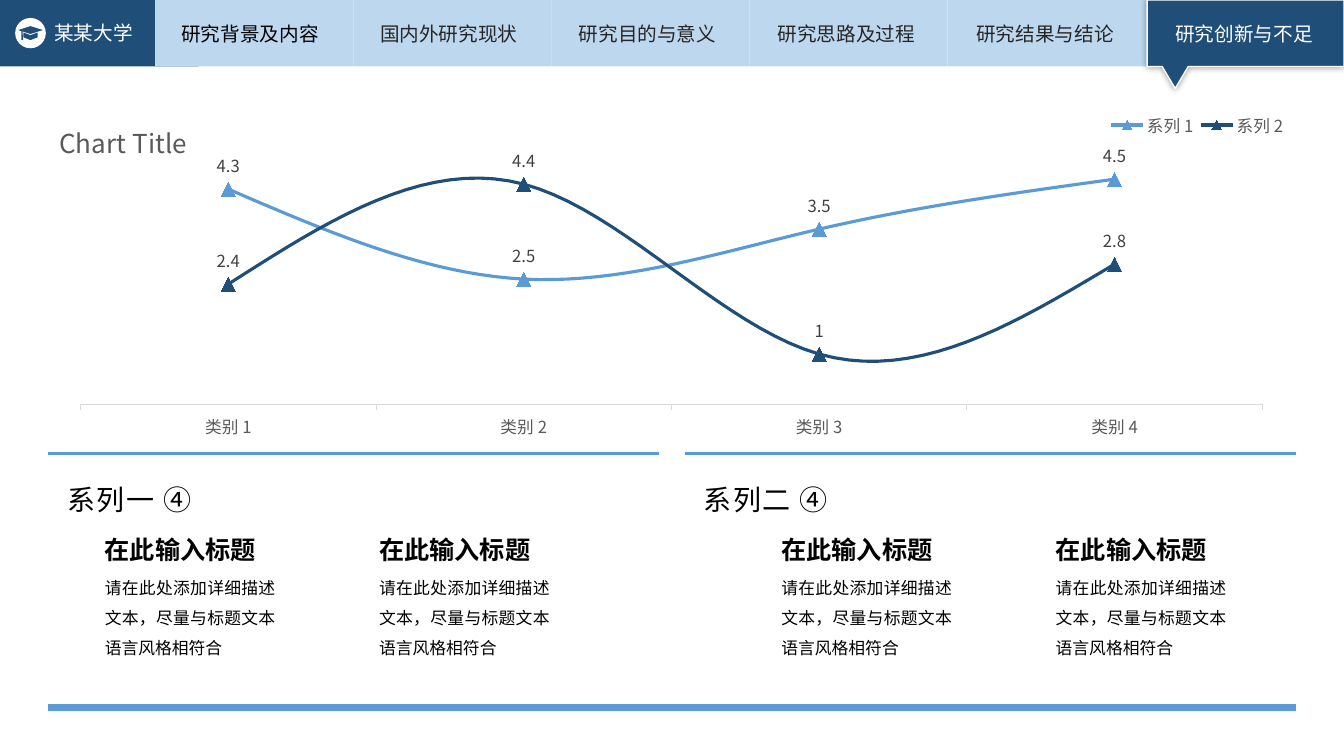
from dataclasses import dataclass

from lxml.etree import SubElement
from pptx import Presentation
from pptx.chart.data import CategoryChartData
from pptx.dml.color import RGBColor
from pptx.enum.chart import XL_CHART_TYPE as CT, XL_LABEL_POSITION as LP, XL_LEGEND_POSITION as LG
from pptx.enum.chart import XL_MARKER_STYLE as MS, XL_TICK_MARK as TM
from pptx.enum.shapes import MSO_CONNECTOR as MC, MSO_SHAPE as MS_SHAPE
from pptx.enum.text import MSO_ANCHOR as MA, MSO_AUTO_SIZE as AS, PP_ALIGN as PA
from pptx.oxml import parse_xml
from pptx.oxml.ns import nsdecls, qn
from pptx.util import Inches, Pt


@dataclass(frozen=True)
class Theme:
    face: str = "Noto Sans CJK SC"
    navy: str = "1F4E79"
    blue: str = "5B9BD5"
    pale: str = "BDD7EE"
    white: str = "FFFFFF"
    black: str = "000000"
    tab_text: str = "262626"
    label: str = "404040"
    muted: str = "595959"
    rule: str = "D9D9D9"
    nav: float = 14
    chart: float = 11.9
    chart_title: float = 18.6
    heading: float = 20
    item: float = 18
    body: float = 12


@dataclass(frozen=True)
class Box:
    x: float
    y: float
    w: float
    h: float

    def share(self, x, y, w, h):
        return Box(self.x + self.w * x / 100, self.y + self.h * y / 100,
                   self.w * w / 100, self.h * h / 100)

    def emu(self):
        return [Inches(v) for v in (self.x, self.y, self.w, self.h)]


T = Theme()
SLIDE = Box(0, 0, 13.33, 7.5)
TABS = ["研究背景及内容", "国内外研究现状", "研究目的与意义",
        "研究思路及过程", "研究结果与结论", "研究创新与不足"]
DESCRIPTION = "请在此处添加详细描述文本，尽量与标题文本语言风格相符合"


def rgb(color):
    return RGBColor.from_string(color)


def style(font, size, color, bold=False, spacing=0):
    font.name, font.size, font.bold = T.face, Pt(size), bold
    font.color.rgb = rgb(color)
    SubElement(font._rPr, qn("a:ea")).set("typeface", T.face)
    if spacing:
        font._rPr.set("spc", str(spacing * 100))


def write(sp, text, size, color, wrap=True, align=PA.LEFT, leading=None, **look):
    tf = sp.text_frame
    tf.word_wrap = wrap
    p = tf.paragraphs[0]
    p.text, p.alignment = text, align
    if leading:
        p.line_spacing = leading
    style(p.font, size, color, **look)
    return tf


def add_text(s, box, *args, **kw):
    sp = s.shapes.add_textbox(*box.emu())
    write(sp, *args, **kw).auto_size = AS.SHAPE_TO_FIT_TEXT


def paint(sp, color):
    sp.shadow.inherit = False
    sp.fill.solid()
    sp.fill.fore_color.rgb = rgb(color)
    sp.line.fill.background()
    return sp


def add_filled(s, kind, box, color):
    return paint(s.shapes.add_shape(kind, *box.emu()), color)


def add_polygon(s, box, points, color):
    x, y, w, h = box.emu()
    pts = [(x + w * px / 100, y + h * py / 100) for px, py in points]
    fb = s.shapes.build_freeform(*pts[0])
    fb.add_line_segments(pts[1:], close=True)
    return paint(fb.convert_to_shape(), color)


def add_rule(s, box, width):
    x, y, w, _ = box.emu()
    ln = s.shapes.add_connector(MC.STRAIGHT, x, y, x + w, y)
    ln.line.color.rgb, ln.line.width = rgb(T.blue), Pt(width)
    SubElement(ln._element.spPr, qn("a:effectLst"))


def add_callout(s, box):
    sp = add_polygon(s, box, [(0.6, 0), (100, 0), (100, 100), (21.4, 100),
                              (14.8, 133), (8.2, 100), (0.6, 100)], T.navy)
    sp.line.color.rgb, sp.line.width = rgb(T.white), Pt(1)
    sp._element.spPr.find(qn("a:effectLst")).append(parse_xml(
        f'<a:outerShdw {nsdecls("a")} blurRad="{Pt(5)}" dist="0" dir="0">'
        '<a:srgbClr val="000000"><a:alpha val="40000"/></a:srgbClr></a:outerShdw>'))


def add_badge(s, box):
    add_filled(s, MS_SHAPE.OVAL, box, T.white)
    for points in ([(10, 40), (50, 27), (90, 40), (50, 53)],
                   [(27, 48), (50, 57), (73, 48), (73, 64), (50, 73), (27, 64)],
                   [(20, 42), (24, 42), (26, 73), (20, 73)]):
        add_polygon(s, box, points, T.navy)


def add_navigation(s, box):
    first = 11.55
    step = (100 - first) / len(TABS)
    cells = [box.share(first + step * i, 0, step, 100) for i in range(len(TABS))]
    labels = [box.share(12.75 + 14.79 * i, 25.8, 11.85, 51.5) for i in range(len(TABS))]
    add_filled(s, MS_SHAPE.RECTANGLE, box.share(0, 0, step, 100), T.navy)
    for cell in cells:
        add_filled(s, MS_SHAPE.RECTANGLE, cell, T.pale)
    add_callout(s, cells[-1])
    for i, (label, text) in enumerate(zip(labels[:-1], TABS)):
        add_text(s, label, text, T.nav, T.tab_text if i else T.black, wrap=False)
    title = s.shapes.title
    title.left, title.top, title.width, title.height = labels[-1].emu()
    tf = write(title, TABS[-1], T.nav, T.white, wrap=False)
    tf.vertical_anchor, tf.auto_size = MA.TOP, AS.SHAPE_TO_FIT_TEXT
    s.shapes.element.append(title.element)
    add_badge(s, box.share(1.13, 27, 2.28, 45.5))
    add_text(s, box.share(3.3, 24.2, 7.43, 51.5), "某某大学", T.nav, T.white, wrap=False)


def set_layout(parent, index, box, inner=False, **lengths):
    for old in parent.findall(qn("c:layout")):
        parent.remove(old)
    target = '<c:layoutTarget val="inner"/>' if inner else ""
    modes = "".join(f'<c:{k}Mode val="edge"/>' for k in "xy")
    sizes = "".join(f'<c:{k} val="{v / (box.w if k in "xw" else box.h)}"/>'
                    for k, v in lengths.items())
    parent.insert(index, parse_xml(
        f'<c:layout {nsdecls("c")}><c:manualLayout>{target}{modes}{sizes}'
        '</c:manualLayout></c:layout>'))


def add_trend_chart(s, box):
    data = CategoryChartData()
    data.categories = [f"类别 {i}" for i in range(1, 5)]
    data.add_series("系列 1", (4.3, 2.5, 3.5, 4.5))
    data.add_series("系列 2", (2.4, 4.4, 1, 2.8))
    chart = s.shapes.add_chart(CT.LINE_MARKERS, *box.emu(), data).chart
    style(chart.font, T.chart, T.muted)
    chart.has_title = chart.has_legend = True
    r = chart.chart_title.text_frame.paragraphs[0].add_run()
    r.text = "Chart Title"
    style(r.font, T.chart_title, T.muted)
    chart.legend.position, chart.legend.include_in_layout = LG.BOTTOM, False
    style(chart.legend.font, T.chart, T.muted)
    axis, values = chart.category_axis, chart.value_axis
    axis.major_tick_mark = TM.OUTSIDE
    axis.format.line.color.rgb, axis.format.line.width = rgb(T.rule), Pt(0.75)
    style(axis.tick_labels.font, T.chart, T.muted)
    values.minimum_scale, values.maximum_scale = 0, 5
    values.has_major_gridlines = values.visible = False
    plot = chart.plots[0]
    plot.vary_by_categories, plot.has_data_labels = False, True
    plot.data_labels.show_value, plot.data_labels.position = True, LP.ABOVE
    style(plot.data_labels.font, T.chart, T.label)
    for series, color in zip(plot.series, (T.blue, T.navy)):
        series.smooth = True
        series.format.line.color.rgb, series.format.line.width = rgb(color), Pt(2.25)
        series.marker.style, series.marker.size = MS.TRIANGLE, 10
        series.marker.format.fill.solid()
        series.marker.format.fill.fore_color.rgb = rgb(color)
        series.marker.format.line.fill.background()
    area = chart._chartSpace.chart.plotArea
    for crossing in area.iter(qn("c:crossBetween")):
        crossing.set("val", "midCat")
    set_layout(area, 0, box, inner=True, x=0.32, y=0.49, w=11.72, h=2.48)
    set_layout(chart.chart_title._element, 1, box, x=0.06, y=0.1)
    set_layout(chart.legend._element, 1, box, x=10.47, y=0.03, w=1.85, h=0.34)


def add_panel(s, box, heading, indent):
    add_rule(s, box, 2.25)
    sp = add_filled(s, MS_SHAPE.ROUNDED_RECTANGLE, box.share(1.5, 6.35, 70.8, 23.4), T.white)
    sp.adjustments[0] = 0
    sp.fill.background()
    write(sp, heading, T.heading, T.black, spacing=1).vertical_anchor = MA.MIDDLE
    for i in range(2):
        x = indent + 44.9 * i
        add_text(s, box.share(x, 42.86, 31.19, 38.5), DESCRIPTION, T.body, T.black,
                 align=PA.JUSTIFY, leading=1.5)
        add_text(s, box.share(x, 29.76, 44.9, 15.9), "在此输入标题", T.item, T.black, bold=True)


def main():
    prs = Presentation()
    prs.slide_width, prs.slide_height = Inches(SLIDE.w), Inches(SLIDE.h)
    s = prs.slides.add_slide(prs.slide_layouts[5])
    add_navigation(s, SLIDE.share(0, 0, 100, 8.8))
    add_trend_chart(s, SLIDE.share(3.6, 13.87, 92.72, 44.93))
    add_panel(s, SLIDE.share(3.6, 60, 45.46, 33.6), "系列一 ④", 7.6)
    add_panel(s, SLIDE.share(50.94, 60, 45.46, 33.6), "系列二 ④", 14.2)
    add_rule(s, SLIDE.share(3.6, 93.6, 92.8, 0), 4.5)
    prs.save("out.pptx")


if __name__ == "__main__":
    main()
